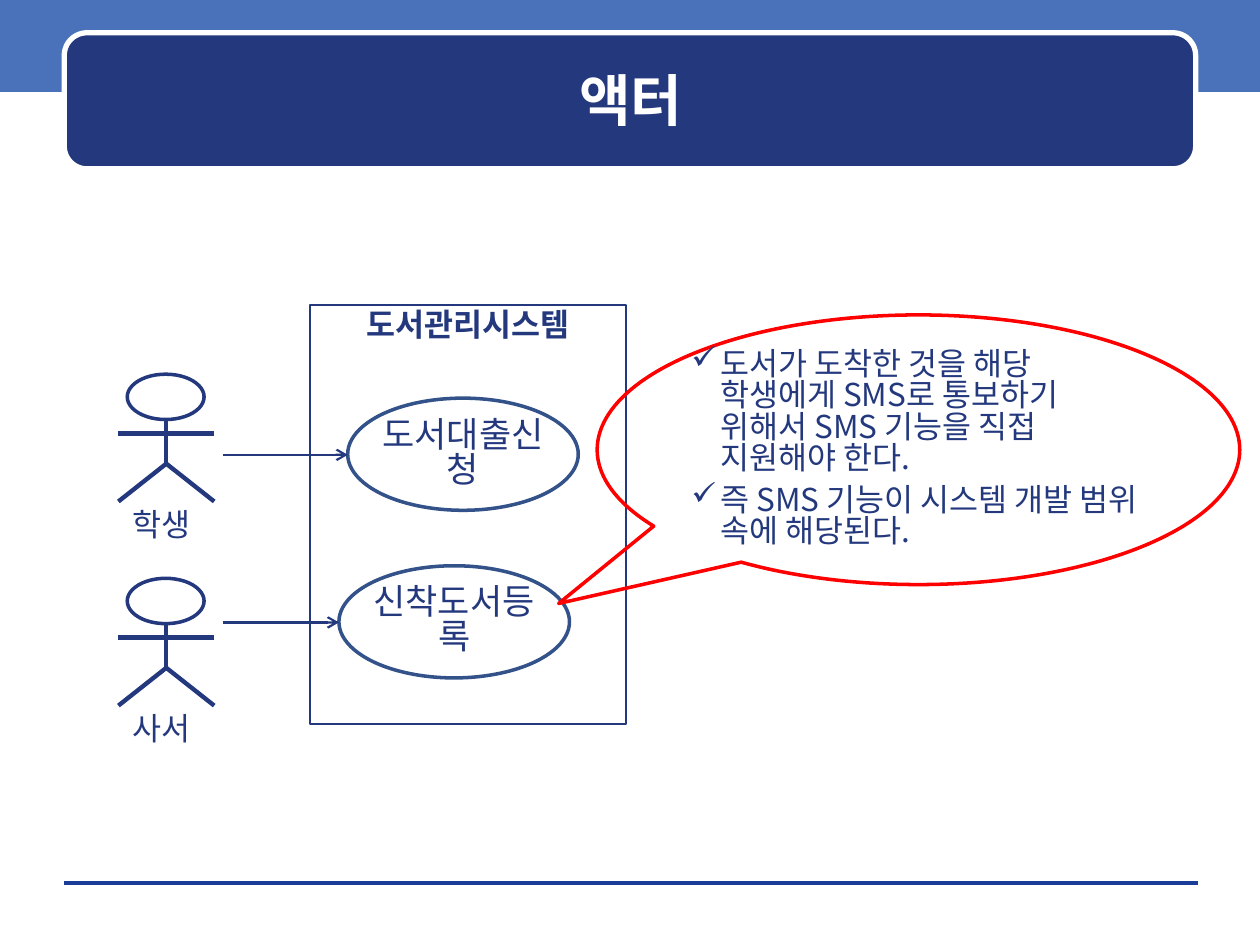
from lxml import etree
from pptx import Presentation
from pptx.dml.color import RGBColor
from pptx.enum.shapes import MSO_CONNECTOR, MSO_SHAPE
from pptx.enum.text import MSO_ANCHOR, PP_ALIGN
from pptx.oxml.ns import qn
from pptx.util import Inches, Pt

STRAIGHT = MSO_CONNECTOR.STRAIGHT
RECTANGLE, ROUNDED = MSO_SHAPE.RECTANGLE, MSO_SHAPE.ROUNDED_RECTANGLE
OVAL, CALLOUT = MSO_SHAPE.OVAL, MSO_SHAPE.OVAL_CALLOUT
TOP, MIDDLE = MSO_ANCHOR.TOP, MSO_ANCHOR.MIDDLE
LEFT, CENTER = PP_ALIGN.LEFT, PP_ALIGN.CENTER
KOREAN_FONT = "Noto Sans CJK KR"
COLORS = {name: RGBColor.from_string(value) for name, value in {
    "band": "4972BB", "navy": "23387D", "oval": "335289",
    "rule": "1A3D97", "red": "FF0000", "white": "FFFFFF",
}.items()}

presentation = Presentation()
presentation.slide_width, presentation.slide_height = Inches(10), Inches(7.5)
slide = presentation.slides.add_slide(presentation.slide_layouts[5])
shapes = slide.shapes


def add_box(kind, left, top, width, height, line=None, weight=2, fill=None):
    shape = shapes.add_shape(kind, Inches(left), Inches(top), Inches(width), Inches(height))
    shape.shadow.inherit = False
    if fill:
        shape.fill.solid()
        shape.fill.fore_color.rgb = COLORS[fill]
    else:
        shape.fill.background()
    if line:
        shape.line.color.rgb = COLORS[line]
        shape.line.width = Pt(weight)
    else:
        shape.line.fill.background()
    return shape


def write(shape, lines, size, anchor=MIDDLE, align=CENTER, side=0, bold=False,
          color="navy", font=KOREAN_FONT, bullet=None, spacing=0.83):
    frame = shape.text_frame
    frame.word_wrap = True
    frame.vertical_anchor = anchor
    frame.margin_left = frame.margin_right = Inches(side)
    frame.margin_top = frame.margin_bottom = Inches(0.05)
    frame.text = "\n".join(lines)
    for index, paragraph in enumerate(frame.paragraphs):
        paragraph.alignment = align
        paragraph.line_spacing = spacing
        if index:
            paragraph.space_before = Pt(6)
        properties = paragraph._p.get_or_add_pPr()
        if bullet:
            properties.set("marL", str(Inches(0.23)))
            properties.set("indent", str(Inches(-0.23)))
            etree.SubElement(properties, qn("a:buChar"), char=bullet)
        paragraph.font.size = Pt(size)
        paragraph.font.bold = bold
        paragraph.font.color.rgb = COLORS[color]
        paragraph.font.name = font
        # East Asian typeface for the Hangul
        etree.SubElement(properties.find(qn("a:defRPr")), qn("a:ea"), typeface=KOREAN_FONT)


# Header band and title
add_box(RECTANGLE, 0, -0.03, 10, 0.76, fill="band")
add_box(ROUNDED, 0.51, 0.26, 8.98, 1.08, "white", 3, "navy")
title = shapes.title
title.left, title.top = Inches(0.6), Inches(0.35)
title.width, title.height = Inches(8.81), Inches(0.88)
write(title, ["액터"], 32, bold=True, color="white", font="DejaVu Sans", spacing=1)
shapes._spTree.append(title._element)  # bring in front of the header

# Line ends: start x, start y, end x, end y, colour, weight, arrowhead
lines = [(0.51, 7.01, 9.51, 7.01, "rule", 0, False)]

# Actors
for name, top in (("학생", 2.97), ("사서", 4.59)):
    add_box(OVAL, 1.01, top, 0.61, 0.36, "navy")
    neck, arms, hip, feet = top + 0.36, top + 0.47, top + 0.71, top + 1.01
    for limb in ((1.32, neck, 1.32, hip), (0.94, arms, 1.7, arms),
                 (1.32, hip, 0.94, feet), (1.32, hip, 1.7, feet)):
        lines.append((*limb, "navy", 2.5, False))
    label = shapes.add_textbox(Inches(0.95), Inches(top + 1.04), Inches(0.66), Inches(0.4))
    write(label, [name], 18, TOP, LEFT, side=0.1)

# System boundary and use cases
system = add_box(RECTANGLE, 2.46, 2.42, 2.51, 3.33, "navy", 1.25)
write(system, ["도서관리시스템"], 18, TOP, side=0.1, bold=True)
for name, left, top in (("도서대출신청", 2.76, 3.16), ("신착도서등록", 2.69, 4.49)):
    write(add_box(OVAL, left, top, 1.83, 0.89, "oval"), [name], 20)
    lines.append((1.77, top + 0.45, left, top + 0.45, "navy", 1.25, True))

# Footer rule, limbs and arrows
for x1, y1, x2, y2, color, weight, arrow in lines:
    connector = shapes.add_connector(STRAIGHT, Inches(x1), Inches(y1), Inches(x2), Inches(y2))
    connector.line.color.rgb = COLORS[color]
    connector.line.width = Pt(weight)
    if arrow:
        etree.SubElement(connector.line._get_or_add_ln(), qn("a:tailEnd"), type="arrow")
    etree.SubElement(connector._element.spPr, qn("a:effectLst"))

# Callout
callout = add_box(CALLOUT, 4.74, 2.5, 5.1, 2.14, "red")
callout.adjustments[0], callout.adjustments[1] = -0.56, 0.57
write(callout, [
    "도서가 도착한 것을 해당 학생에게 SMS로 통보하기 위해서 SMS 기능을 직접 지원해야 한다.",
    "즉 SMS 기능이 시스템 개발 범위 속에 해당된다.",
], 18, align=LEFT, bullet="✓")

presentation.save("out.pptx")
